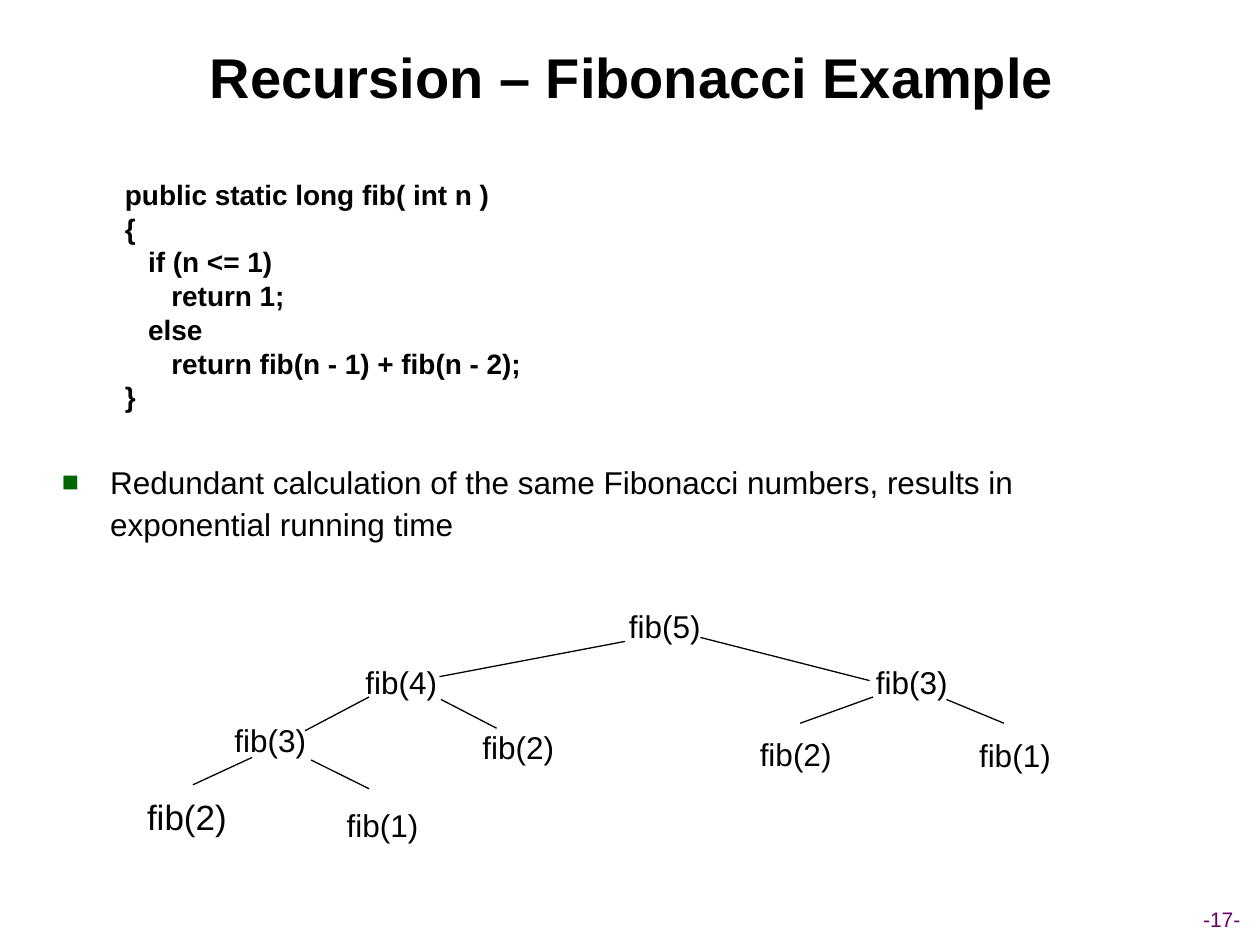
from dataclasses import dataclass

from lxml import etree
from pptx import Presentation
from pptx.dml.color import RGBColor
from pptx.enum import shapes, text
from pptx.oxml import ns
from pptx.util import Cm, Pt

FONT = "Arial"
BLACK, PURPLE, GREEN = "000000", "660066", "006600"

CODE = """public static long fib( int n )
{
   if (n <= 1)
      return 1;
   else
      return fib(n - 1) + fib(n - 2);
}"""


@dataclass
class Call:
    """A call in the recursion tree, placed by its centre in cm."""
    label: str
    x: float
    y: float
    size: int = 18


@dataclass
class Branch:
    """A line from a call down to one it makes, in cm."""
    x1: float
    y1: float
    x2: float
    y2: float


CALLS = [
    Call("fib(5)", 13.4, 12.62),
    Call("fib(4)", 8.09, 13.74),
    Call("fib(3)", 18.38, 13.74),
    Call("fib(3)", 5.45, 14.91),
    Call("fib(2)", 10.45, 15.06),
    Call("fib(2)", 16.04, 15.19),
    Call("fib(1)", 20.46, 15.21),
    Call("fib(2)", 3.77, 16.46, 20),
    Call("fib(1)", 7.71, 16.64),
]
BRANCHES = [
    Branch(12.6, 12.93, 8.86, 13.64),
    Branch(14.12, 12.85, 17.53, 13.72),
    Branch(7.44, 14.05, 6.15, 14.73),
    Branch(8.89, 14.1, 10.01, 14.68),
    Branch(5.08, 15.27, 3.89, 15.82),
    Branch(6.27, 15.32, 7.44, 15.9),
    Branch(17.6, 14.05, 16.13, 14.58),
    Branch(19.08, 14.1, 20.24, 14.58),
]


def color(value: str) -> RGBColor:
    return RGBColor.from_string(value)


def write(frame, content: str, size: float, ink: str = BLACK, bold: bool = False,
          align=text.PP_ALIGN.LEFT, line_height=None) -> None:
    frame.text = content
    for paragraph in frame.paragraphs:
        paragraph.alignment = align
        paragraph.line_spacing = line_height
        for run in paragraph.runs:
            run.font.name = FONT
            run.font.size = Pt(size)
            run.font.bold = bold
            run.font.color.rgb = color(ink)


def add_frame(slide, left: float, top: float, width: float, height: float,
              wrap: bool = True, inset: float = 0):
    frame = slide.shapes.add_textbox(Cm(left), Cm(top), Cm(width), Cm(height)).text_frame
    frame.word_wrap = wrap
    frame.margin_left = frame.margin_right = Cm(inset)
    frame.margin_top = frame.margin_bottom = Cm(inset / 2)
    return frame


def add_bullet(paragraph, indent: float) -> None:
    props = paragraph._p.get_or_add_pPr()
    props.set("marL", str(Cm(indent)))
    props.set("indent", str(-Cm(indent)))
    bullet_color = etree.SubElement(props, ns.qn("a:buClr"))
    etree.SubElement(bullet_color, ns.qn("a:srgbClr"), val=GREEN)
    etree.SubElement(props, ns.qn("a:buSzPct"), val="90000")
    etree.SubElement(props, ns.qn("a:buFont"), typeface=FONT)
    etree.SubElement(props, ns.qn("a:buChar"), char="■")


def draw_call(slide, call: Call) -> None:
    width, height = call.size * 0.11, call.size * 0.056
    frame = add_frame(slide, call.x - width / 2, call.y - height / 2,
                      width, height, wrap=False, inset=0.25)
    frame.vertical_anchor = text.MSO_ANCHOR.MIDDLE
    write(frame, call.label, call.size, align=text.PP_ALIGN.CENTER)


def draw_branch(slide, branch: Branch) -> None:
    line = slide.shapes.add_connector(
        shapes.MSO_CONNECTOR.STRAIGHT,
        Cm(branch.x1), Cm(branch.y1), Cm(branch.x2), Cm(branch.y2))
    line.line.color.rgb = color(BLACK)
    line.line.width = Pt(0.75)
    etree.SubElement(line._element.spPr, ns.qn("a:effectLst"))


def main() -> None:
    deck = Presentation()
    deck.slide_width, deck.slide_height = Cm(25.4), Cm(19.05)
    slide = deck.slides.add_slide(deck.slide_layouts[5])

    # Title
    title = slide.shapes.title
    title.left, title.top, title.width, title.height = Cm(0.97), Cm(0.33), Cm(23.55), Cm(2.41)
    title.text_frame.vertical_anchor = text.MSO_ANCHOR.MIDDLE
    write(title.text_frame, "Recursion – Fibonacci Example", 32, bold=True,
          align=text.PP_ALIGN.CENTER)

    # Code
    code = add_frame(slide, 2.52, 3.57, 19.5, 4.8)
    write(code, CODE, 16, bold=True, line_height=Pt(19.3))

    # Remark on the running time
    remark = add_frame(slide, 1.25, 9.25, 20.77, 1.7)
    write(remark, "Redundant calculation of the same Fibonacci numbers, "
          "results in exponential running time", 18, line_height=Pt(24))
    add_bullet(remark.paragraphs[0], 0.97)

    # Recursion tree
    for branch in BRANCHES:
        draw_branch(slide, branch)
    for call in CALLS:
        draw_call(slide, call)

    # Page number
    page = add_frame(slide, 23.27, 18.14, 2.72, 0.76, wrap=False)
    page.vertical_anchor = text.MSO_ANCHOR.MIDDLE
    write(page, "-17-", 12, PURPLE, align=text.PP_ALIGN.CENTER)

    deck.save("out.pptx")


if __name__ == "__main__":
    main()
